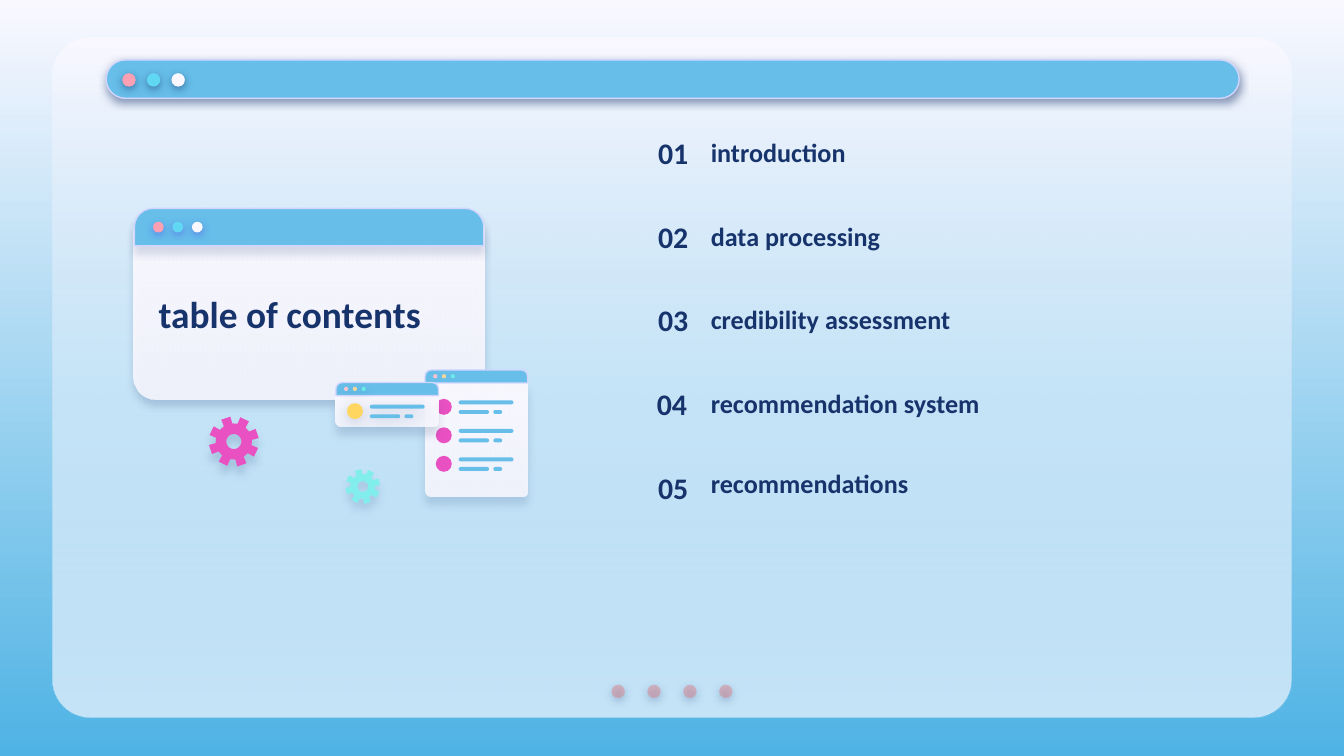
from dataclasses import dataclass
from math import cos, radians, sin
from typing import NamedTuple, Optional

from lxml.etree import SubElement
from pptx import Presentation
from pptx.dml.color import RGBColor
from pptx.enum.shapes import MSO_SHAPE as Preset
from pptx.enum.text import MSO_ANCHOR as Anchor, MSO_AUTO_SIZE as AutoSize, PP_ALIGN as Align
from pptx.oxml.ns import qn
from pptx.util import Emu, Inches, Pt

# The slide is a grid of 100 columns by 56.25 rows
CELL = Inches(0.1)
COLUMNS, ROWS = 100, 56.25

PALE = RGBColor(0xF9, 0xF8, 0xFF)
SKY = RGBColor(0x66, 0xBE, 0xE9)
DEEP_SKY = RGBColor(0x4E, 0xB3, 0xE4)
LILAC = RGBColor(0xD2, 0xD6, 0xFF)
NAVY = RGBColor(0x17, 0x33, 0x6B)
INDIGO = RGBColor(0x53, 0x52, 0xEE)
PINK = RGBColor(0xFD, 0xA0, 0xB4)
CYAN = RGBColor(0x60, 0xD8, 0xF4)
ROSE = RGBColor(0xE2, 0x7B, 0x83)
MAGENTA = RGBColor(0xE9, 0x51, 0xC2)
YELLOW = RGBColor(0xFF, 0xD6, 0x5F)
MINT = RGBColor(0x81, 0xEE, 0xEB)
WINDOW_DOTS = (PINK, CYAN, PALE)
MINI_DOTS = (RGBColor(0xFF, 0xC3, 0xD0), RGBColor(0xF5, 0xD7, 0x9B), RGBColor(0x6A, 0xEB, 0xE7))


class Box(NamedTuple):
    """Left, top, width and height in grid cells."""
    left: float
    top: float
    width: float
    height: float

    def emu(self) -> list[Emu]:
        return [Emu(round(cells * CELL)) for cells in self]


class Shadow(NamedTuple):
    color: RGBColor
    opacity: int
    blur: float
    distance: float


@dataclass(frozen=True)
class Style:
    fill: RGBColor
    opacity: int = 100
    fade_to: Optional[RGBColor] = None
    fade_opacity: int = 100
    line: Optional[RGBColor] = None
    shadow: Optional[Shadow] = None


class Chapter(NamedTuple):
    title: str
    number_shift: float = 0
    title_shift: float = 0


class Gear(NamedTuple):
    x: float
    y: float
    tip: float
    root: float
    hole: float
    turn: float
    style: Style


BAR_SHADOW = Shadow(NAVY, 50, 4.5, 1.5)
ITEM_SHADOW = Shadow(NAVY, 18, 6.8, 1.5)
CHAPTERS = (
    Chapter("introduction"),
    Chapter("data processing"),
    Chapter("credibility assessment"),
    Chapter("recommendation system", number_shift=-0.1),
    Chapter("recommendations", title_shift=-0.3),
)
GEARS = (
    Gear(17.4, 32.85, 1.87, 1.35, 0.56, -19, Style(MAGENTA, shadow=Shadow(NAVY, 16, 4.5, 4.5))),
    Gear(27, 36.2, 1.3, 0.92, 0.4, -16, Style(MINT, shadow=Shadow(NAVY, 15, 4.5, 3.8))),
)


def fade(fill, start: RGBColor, end: RGBColor) -> None:
    fill.gradient()
    fill.gradient_angle = 270
    for stop, color in zip(fill.gradient_stops, (start, end)):
        stop.color.rgb = color


def set_alpha(color_element, percent: int) -> None:
    if percent < 100:
        SubElement(color_element, qn("a:alpha"), val=str(percent * 1000))


def apply_style(shape, style: Style) -> None:
    properties = shape._element.spPr
    shape.shadow.inherit = False
    if style.fade_to is None:
        shape.fill.solid()
        shape.fill.fore_color.rgb = style.fill
        opacities = (style.opacity,)
    else:
        fade(shape.fill, style.fill, style.fade_to)
        opacities = (style.opacity, style.fade_opacity)
    for color_element, percent in zip(list(properties.iter(qn("a:srgbClr"))), opacities):
        set_alpha(color_element, percent)
    if style.line is None:
        shape.line.fill.background()
    else:
        shape.line.color.rgb = style.line
        shape.line.width = Pt(0.75)
    if style.shadow:
        effect = SubElement(
            properties.find(qn("a:effectLst")), qn("a:outerShdw"),
            blurRad=str(Pt(style.shadow.blur)), dist=str(Pt(style.shadow.distance)),
            dir="5400000", algn="bl", rotWithShape="0")
        set_alpha(SubElement(effect, qn("a:srgbClr"), val=str(style.shadow.color)),
                  style.shadow.opacity)


def draw(shapes, preset, box: Box, style: Style, *corners: float) -> None:
    shape = shapes.add_shape(preset, *box.emu())
    for index, corner in enumerate(corners):
        shape.adjustments[index] = corner
    apply_style(shape, style)


def draw_dots(shapes, first: Box, pitch: float, styles: list[Style]) -> None:
    for index, style in enumerate(styles):
        draw(shapes, Preset.OVAL, first._replace(left=first.left + index * pitch), style)


def draw_mini_window(shapes, box: Box, shadow: Shadow, dot_shadow: Optional[Shadow]) -> None:
    header, radius = 0.97, 0.45
    body = Box(box.left, box.top + header, box.width, box.height - header)
    draw(shapes, Preset.ROUND_2_SAME_RECTANGLE, body,
         Style(PALE, fade_to=PALE, fade_opacity=87, shadow=shadow),
         0, radius / min(body.width, body.height))
    draw(shapes, Preset.ROUND_2_SAME_RECTANGLE, box._replace(height=header),
         Style(SKY, line=LILAC), radius / header, 0)
    draw_dots(shapes, Box(box.left + 0.6, box.top + 0.31, 0.31, 0.31), 0.65,
              [Style(color, shadow=dot_shadow) for color in MINI_DOTS])


def draw_item(shapes, left: float, top: float, bullet: RGBColor,
              shadow: Optional[Shadow] = None) -> None:
    draw(shapes, Preset.OVAL, Box(left, top, 1.19, 1.19), Style(bullet, shadow=shadow))
    for x, y, width in ((1.7, 0.12, 4.08), (1.7, 0.83, 2.26), (4.28, 0.83, 0.66)):
        draw(shapes, Preset.ROUNDED_RECTANGLE, Box(left + x, top + y, width, 0.29),
             Style(SKY, shadow=shadow), 0.5)


def draw_gear(shapes, gear: Gear) -> None:
    def point(radius: float, angle: float) -> tuple[float, float]:
        turn = radians(angle)
        return (gear.x + radius * sin(turn)) * CELL, (gear.y - radius * cos(turn)) * CELL

    tooth = ((gear.root, -14), (gear.tip, -11), (gear.tip, 11), (gear.root, 14))
    rim = [point(radius, gear.turn + 45 * step + offset)
           for step in range(8) for radius, offset in tooth]
    hole = [point(gear.hole, -10 * step) for step in range(36)]
    builder = shapes.build_freeform(*rim[0])
    builder.add_line_segments(rim[1:])
    builder.move_to(*hole[0])
    builder.add_line_segments(hole[1:])
    apply_style(builder.convert_to_shape(), gear.style)


def write(shape, text: str, size: int, align=Align.LEFT) -> None:
    frame = shape.text_frame
    frame.word_wrap = True
    frame.auto_size = AutoSize.NONE
    frame.vertical_anchor = Anchor.MIDDLE
    frame.margin_left = frame.margin_right = frame.margin_top = frame.margin_bottom = CELL
    paragraph = frame.paragraphs[0]
    paragraph.alignment = align
    run = paragraph.add_run()
    run.text = text
    run.font.name, run.font.size, run.font.bold = "Calibri", Pt(size), True
    run.font.color.rgb = NAVY


def main() -> None:
    deck = Presentation()
    deck.slide_width, deck.slide_height = Emu(COLUMNS * CELL), Emu(int(ROWS * CELL))
    slide = deck.slides.add_slide(deck.slide_layouts[5])
    shapes = slide.shapes
    fade(slide.background.fill, PALE, DEEP_SKY)

    # Panel with its bar and page dots
    panel = Box(3.9, 2.8, 92.2, 50.6)
    for style in (Style(PALE), Style(PALE, fade_to=SKY, fade_opacity=35)):
        draw(shapes, Preset.ROUNDED_RECTANGLE, panel, style, 0.056)
    draw_dots(shapes, Box(45.5, 50.95, 1, 1), 2.67, [Style(ROSE, 44, shadow=BAR_SHADOW)] * 4)
    draw(shapes, Preset.ROUNDED_RECTANGLE, Box(7.9, 4.46, 84.3, 2.86),
         Style(SKY, line=LILAC, shadow=BAR_SHADOW), 0.5)
    draw_dots(shapes, Box(9.1, 5.45, 1, 1), 1.83,
              [Style(color, shadow=BAR_SHADOW) for color in WINDOW_DOTS])

    # Title window
    window = Box(9.95, 15.5, 26.1, 14.2)
    draw(shapes, Preset.ROUNDED_RECTANGLE, window,
         Style(PALE, fade_to=PALE, fade_opacity=87, shadow=Shadow(NAVY, 22, 4.5, 3.8)), 0.124)
    draw(shapes, Preset.ROUND_2_SAME_RECTANGLE, Box(10, 15.5, 26, 2.8),
         Style(SKY, line=LILAC, shadow=Shadow(NAVY, 15, 4.5, 3.8)), 0.5, 0)
    draw_dots(shapes, Box(11.38, 16.5, 0.8, 0.8), 1.45,
              [Style(color, shadow=Shadow(INDIGO, 50, 4.5, 1.5)) for color in WINDOW_DOTS])
    heading = shapes.title
    heading.left, heading.top, heading.width, heading.height = Box(10.8, 20.2, 24.4, 6.2).emu()
    write(heading, "table of contents", 20)
    shapes._spTree.append(heading._element)

    # Small windows: a list of three items, then a single item in front
    draw_mini_window(shapes, Box(31.63, 27.53, 7.63, 9.4), Shadow(NAVY, 15, 4.5, 4.5), None)
    for row in range(3):
        draw_item(shapes, 32.43, 29.68 + row * 2.12, MAGENTA)
    draw_mini_window(shapes, Box(25, 28.47, 7.63, 3.3), Shadow(NAVY, 16, 4.5, 4.5),
                     Shadow(NAVY, 17, 4.5, 2.2))
    draw_item(shapes, 25.82, 30, YELLOW, ITEM_SHADOW)

    for gear in GEARS:
        draw_gear(shapes, gear)

    # Numbered chapters
    for index, chapter in enumerate(CHAPTERS):
        drop = index * 6.23
        number = Box(46.1 + chapter.number_shift, 9.85 + drop, 6.1, 3)
        write(shapes.add_textbox(*number.emu()), f"{index + 1:02}", 16, Align.RIGHT)
        label = Box(51.9, 9.3 + drop + chapter.title_shift, 38.2, 4)
        write(shapes.add_textbox(*label.emu()), chapter.title, 14)

    deck.save("out.pptx")


if __name__ == "__main__":
    main()
